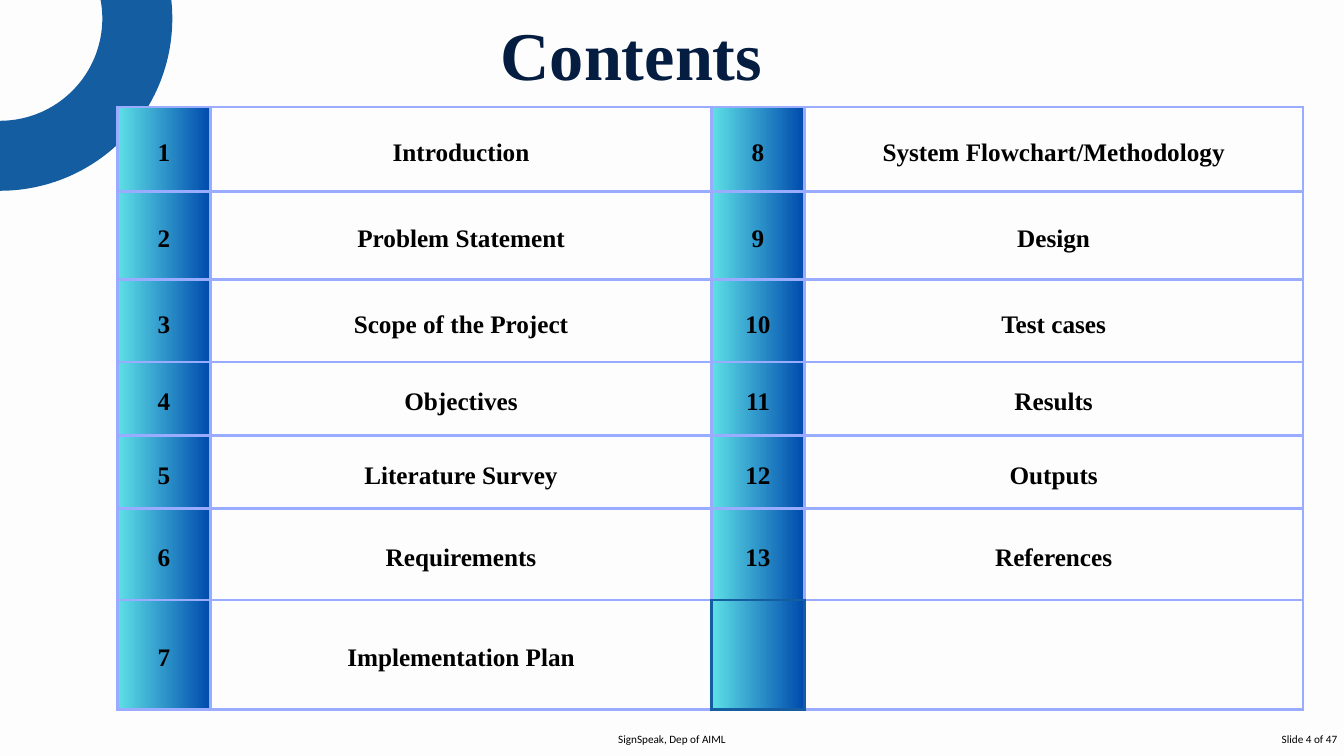
from dataclasses import dataclass

from lxml.etree import SubElement
from pptx import Presentation
from pptx.dml.color import RGBColor
from pptx.enum.shapes import MSO_SHAPE
from pptx.enum.text import MSO_ANCHOR, MSO_AUTO_SIZE, PP_ALIGN
from pptx.oxml.ns import qn
from pptx.util import Cm, Pt


@dataclass(frozen=True)
class Theme:
    paper: str = "FDFDFD"
    ring: str = "145DA0"
    grid: str = "99ACFF"
    gradient: tuple = ("5DE0E6", "004AAD")
    title_color: str = "051D40"
    ink: str = "000000"
    serif: str = "Times New Roman"
    sans: str = "Calibri"
    title_size: float = 73.2
    entry_size: float = 27
    footer_size: float = 12


theme = Theme()


def write(paragraph, text, font_name, size, color, bold, align, spacing=None):
    paragraph.alignment = align
    if spacing:
        paragraph.line_spacing = Pt(spacing)
    run = paragraph.add_run()
    run.text = text
    run.font.name = font_name
    run.font.size = Pt(size)
    run.font.bold = bold
    run.font.color.rgb = RGBColor.from_string(color)


def set_borders(cell, colors):
    properties = cell._tc.get_or_add_tcPr()
    for position, (side, color) in enumerate(zip("LRTB", colors)):
        line = SubElement(properties, qn(f"a:ln{side}"), w=str(Pt(3)))
        fill = SubElement(line, qn("a:solidFill"))
        SubElement(fill, qn("a:srgbClr"), val=color)
        properties.insert(position, line)


presentation = Presentation()
presentation.slide_width = Cm(50.8)
presentation.slide_height = Cm(28.58)
slide = presentation.slides.add_slide(presentation.slide_layouts[6])
slide.background.fill.solid()
slide.background.fill.fore_color.rgb = RGBColor.from_string(theme.paper)

ring = slide.shapes.add_shape(MSO_SHAPE.OVAL, Cm(-5.19), Cm(-4.49), Cm(10.38), Cm(10.38))
ring.shadow.inherit = False
ring.fill.background()
ring.line.color.rgb = RGBColor.from_string(theme.ring)
ring.line.width = Pt(75)

topics = [
    "Introduction", "Problem Statement", "Scope of the Project", "Objectives",
    "Literature Survey", "Requirements", "Implementation Plan",
    "System Flowchart/Methodology", "Design", "Test cases", "Results",
    "Outputs", "References",
]
column_widths = [3.5, 18.95, 3.5, 18.85]
row_heights = [3.2, 3.33, 3.12, 2.77, 2.77, 3.45, 4.14]
row_count = len(row_heights)

contents = slide.shapes.add_table(
    row_count, len(column_widths), Cm(4.45), Cm(4.04),
    Cm(sum(column_widths)), Cm(sum(row_heights)),
).table
contents.first_row = False
contents.horz_banding = False
for column, width in zip(contents.columns, column_widths):
    column.width = Cm(width)
for row, height in zip(contents.rows, row_heights):
    row.height = Cm(height)

accent_borders = {
    (5, 2): [theme.grid] * 3 + [theme.ring],
    (6, 1): [theme.grid, theme.ring, theme.grid, theme.grid],
    (6, 2): [theme.ring] * 4,
    (6, 3): [theme.ring] + [theme.grid] * 3,
}

for row_index in range(row_count):
    for column_index in range(len(column_widths)):
        cell = contents.cell(row_index, column_index)
        is_number = column_index % 2 == 0
        number = row_index + 1 + column_index // 2 * row_count
        cell.vertical_anchor = MSO_ANCHOR.MIDDLE
        cell.margin_left = cell.margin_right = Cm(0.53)
        cell.margin_top = cell.margin_bottom = Cm(0.53)
        if is_number:
            cell.fill.gradient()
            cell.fill.gradient_angle = 0
            for stop, color in zip(cell.fill.gradient_stops, theme.gradient):
                stop.color.rgb = RGBColor.from_string(color)
        else:
            cell.fill.solid()
            cell.fill.fore_color.rgb = RGBColor.from_string(theme.paper)
        set_borders(cell, accent_borders.get((row_index, column_index), [theme.grid] * 4))
        if number <= len(topics):
            entry = str(number) if is_number else topics[number - 1]
            write(cell.text_frame.paragraphs[0], entry, theme.serif, theme.entry_size,
                  theme.ink, True, PP_ALIGN.CENTER, 37.8)

title = slide.shapes.add_textbox(Cm(18.92), Cm(-0.05), Cm(10.36), Cm(3.86)).text_frame
title.word_wrap = True
title.auto_size = MSO_AUTO_SIZE.SHAPE_TO_FIT_TEXT
title.margin_left = title.margin_right = title.margin_top = title.margin_bottom = 0
write(title.paragraphs[0], "Contents", theme.serif, theme.title_size,
      theme.title_color, True, PP_ALIGN.LEFT, 102.5)

for text, left, width, align in [
    ("SignSpeak, Dep of AIML", 21.59, 7.62, PP_ALIGN.CENTER),
    ("Slide 4 of 47", 46.99, 3.81, PP_ALIGN.RIGHT),
]:
    footer = slide.shapes.add_textbox(Cm(left), Cm(27.56), Cm(width), Cm(0.76)).text_frame
    footer.word_wrap = False
    footer.auto_size = MSO_AUTO_SIZE.SHAPE_TO_FIT_TEXT
    write(footer.paragraphs[0], text, theme.sans, theme.footer_size, theme.ink, False, align)

presentation.save("out.pptx")
